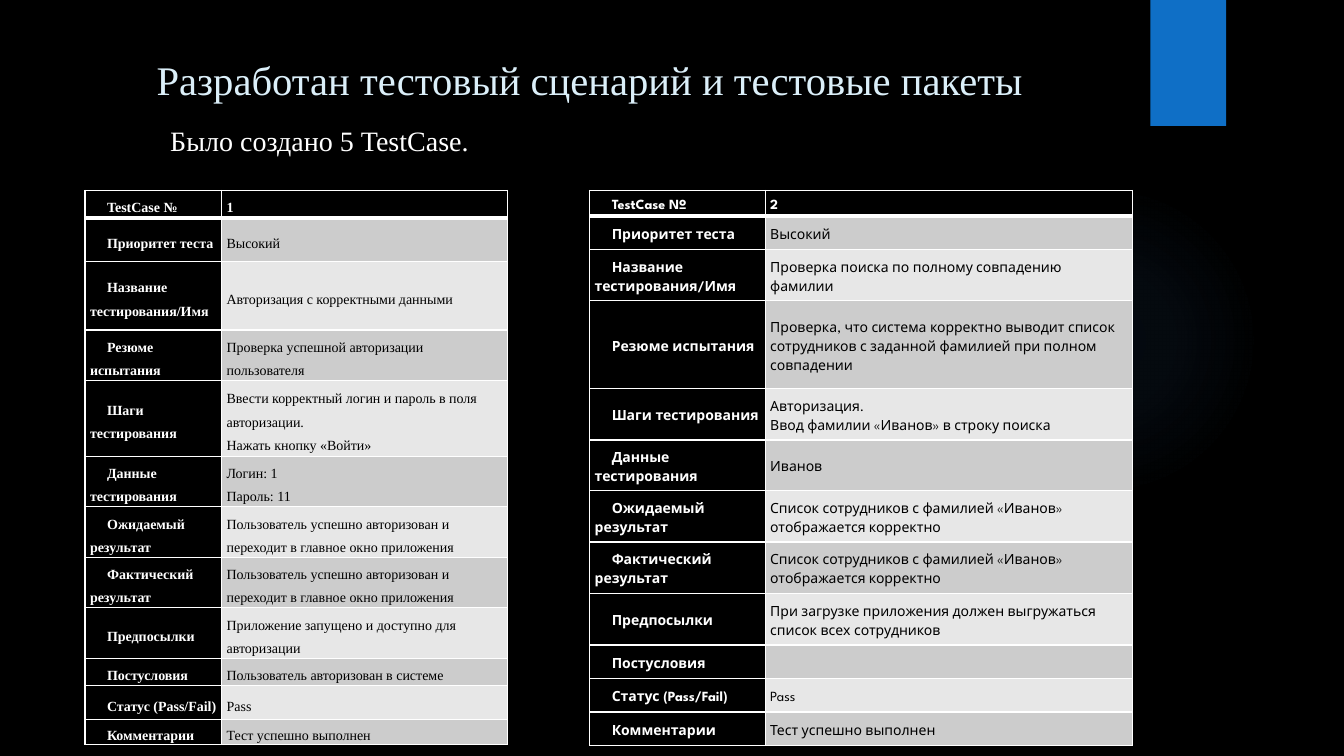
from pptx import Presentation
from pptx.dml.color import RGBColor as Color
from pptx.enum.shapes import MSO_SHAPE as Kind
from pptx.enum.text import MSO_ANCHOR as Anchor, PP_ALIGN as Align
from pptx.oxml import parse_xml
from pptx.oxml.ns import nsdecls
from pptx.util import Pt

THEME = {
    "back": "000000", "white": "FFFFFF", "ink": "000000",
    "title": "DBEFF9", "blue": "0F6FC6", "glow": "448AD7",
    "dark": "CCCCCC", "pale": "E7E7E7",
    "serif": "Times New Roman", "sans": "League Spartan",
    "head": 29, "sub": 20, "cell": 10,
}
TITLE = "Разработан тестовый сценарий и тестовые пакеты"
NOTE = "Было создано 5 TestCase."
LABELS = [
    "TestCase №", "Приоритет теста", "Название тестирования/Имя",
    "Резюме испытания", "Шаги тестирования", "Данные тестирования",
    "Ожидаемый результат", "Фактический результат", "Предпосылки",
    "Постусловия", "Статус (Pass/Fail)", "Комментарии",
]
LOGIN = "Пользователь успешно авторизован и переходит в главное окно приложения"
FOUND = "Список сотрудников с фамилией «Иванов» отображается корректно"
CASES = [
    {
        "left": 60.7, "font": "serif", "cols": (97.6, 204.4),
        "rows": (19.5, 31.5, 48.7, 31.5, 48.7, 31.5, 31.5, 31.5, 31.5, 19.5, 24, 14.5),
        "vals": [
            ["1"], ["Высокий"], ["Авторизация с корректными данными"],
            ["Проверка успешной авторизации пользователя"],
            ["Ввести корректный логин и пароль в поля авторизации.",
             "Нажать кнопку «Войти»"],
            ["Логин: 1", "Пароль: 11"], [LOGIN], [LOGIN],
            ["Приложение запущено и доступно для авторизации"],
            ["Пользователь авторизован в системе"], ["Pass"],
            ["Тест успешно выполнен"],
        ],
    },
    {
        "left": 421.2, "font": "sans", "cols": (125.4, 262.6),
        "rows": (15.3, 23.9, 36.8, 62.7, 36.8, 33, 36.8, 36.8, 36.8, 23.9, 23.9, 23.9),
        "vals": [
            ["2"], ["Высокий"], ["Проверка поиска по полному совпадению фамилии"],
            ["Проверка, что система корректно выводит список сотрудников "
             "с заданной фамилией при полном совпадении"],
            ["Авторизация.", "Ввод фамилии «Иванов» в строку поиска"],
            ["Иванов"], [FOUND], [FOUND],
            ["При загрузке приложения должен выгружаться список всех сотрудников"],
            [], ["Pass"], ["Тест успешно выполнен"],
        ],
    },
]
TOP = 136.1
INDENT = 12.2
GLOW = [(0, 7), (36, 6), (69, 0)]


def tint(name):
    return Color.from_string(THEME[name])


def write(para, text, size, font, ink, bold=False):
    run = para.add_run()
    run.text = text
    run.font.size = Pt(THEME[size])
    run.font.name = THEME[font]
    run.font.color.rgb = tint(ink)
    run.font.bold = bold


def label(slide, box, text, size, ink):
    frame = slide.shapes.add_textbox(*map(Pt, box)).text_frame
    frame.word_wrap = True
    para = frame.paragraphs[0]
    write(para, text, size, "serif", ink)
    return para


def shape(slide, kind, box):
    item = slide.shapes.add_shape(kind, *map(Pt, box))
    item.shadow.inherit = False
    item.line.fill.background()
    return item


def glow(slide):
    disc = shape(slide, Kind.OVAL, (677.5, 131.8, 221.8, 221.8))
    disc.fill.background()
    stops = "".join(
        f'<a:gs pos="{pos * 1000}"><a:srgbClr val="{THEME["glow"]}">'
        f'<a:alpha val="{alpha * 1000}"/></a:srgbClr></a:gs>'
        for pos, alpha in GLOW)
    grad = parse_xml(
        f'<a:gradFill {nsdecls("a")}><a:gsLst>{stops}</a:gsLst><a:path path="circle">'
        '<a:fillToRect l="50000" t="50000" r="50000" b="50000"/></a:path></a:gradFill>')
    props = disc.element.spPr
    props.replace(props.find("{*}noFill"), grad)


def border(cell, row):
    props = cell._tc.get_or_add_tcPr()
    for spot, side in enumerate("LRTB"):
        thick = (row == 0 and side == "B") or (row == 1 and side == "T")
        props.insert(spot, parse_xml(
            f'<a:ln{side} {nsdecls("a")} w="{Pt(3 if thick else 1)}"><a:solidFill>'
            f'<a:srgbClr val="{THEME["white"]}"/></a:solidFill></a:ln{side}>'))


def fill(cell, lines, row, col, font):
    bold = row == 0 or col == 0
    shade = "back" if bold else "dark" if row % 2 else "pale"
    cell.fill.solid()
    cell.fill.fore_color.rgb = tint(shade)
    cell.vertical_anchor = Anchor.MIDDLE
    cell.margin_left = cell.margin_right = Pt(3.6)
    cell.margin_top = cell.margin_bottom = Pt(0)
    border(cell, row)
    frame = cell.text_frame
    for spot, text in enumerate(lines):
        para = frame.add_paragraph() if spot else frame.paragraphs[0]
        para.line_spacing = 1.5
        if col == 0:
            props = para._p.get_or_add_pPr()
            props.set("marL", "0")
            props.set("indent", str(Pt(INDENT)))
        write(para, text, "cell", font, "white" if bold else "ink", bold)
    if not lines:
        end = frame.paragraphs[0]._p.get_or_add_endParaRPr()
        end.set("sz", str(THEME["cell"] * 100))


def grid(slide, case):
    cols, rows = case["cols"], case["rows"]
    box = case["left"], TOP, sum(cols), sum(rows)
    table = slide.shapes.add_table(len(rows), len(cols), *map(Pt, box)).table
    table.horz_banding = False
    for col, width in zip(table.columns, cols):
        col.width = Pt(width)
    for row, height in zip(table.rows, rows):
        row.height = Pt(height)
    for row, (name, lines) in enumerate(zip(LABELS, case["vals"])):
        for col, part in enumerate(([name], lines)):
            fill(table.cell(row, col), part, row, col, case["font"])


def main():
    deck = Presentation()
    deck.slide_width, deck.slide_height = Pt(960), Pt(540)
    slide = deck.slides.add_slide(deck.slide_layouts[6])
    slide.background.fill.solid()
    slide.background.fill.fore_color.rgb = tint("back")
    glow(slide)
    flag = shape(slide, Kind.RECTANGLE, (821.8, 0, 54, 90))
    flag.fill.solid()
    flag.fill.fore_color.rgb = tint("blue")
    head = label(slide, (51, 36, 741, 110), TITLE, "head", "title")
    head.alignment = Align.CENTER
    for case in CASES:
        grid(slide, case)
    note = label(slide, (78.5, 85, 704, 330.5), NOTE, "sub", "white")
    note.space_before = Pt(10)
    note._p.get_or_add_pPr().set("marL", str(Pt(36)))
    deck.save("out.pptx")


if __name__ == "__main__":
    main()
